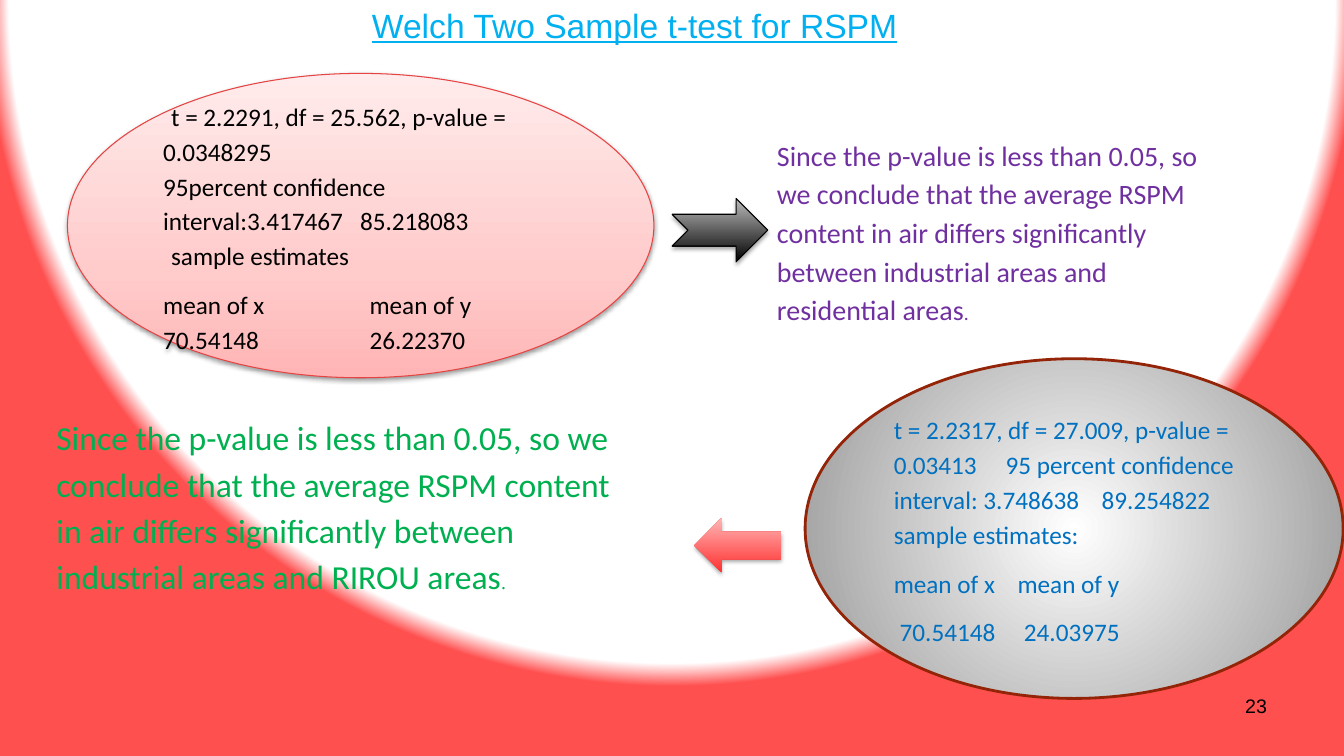
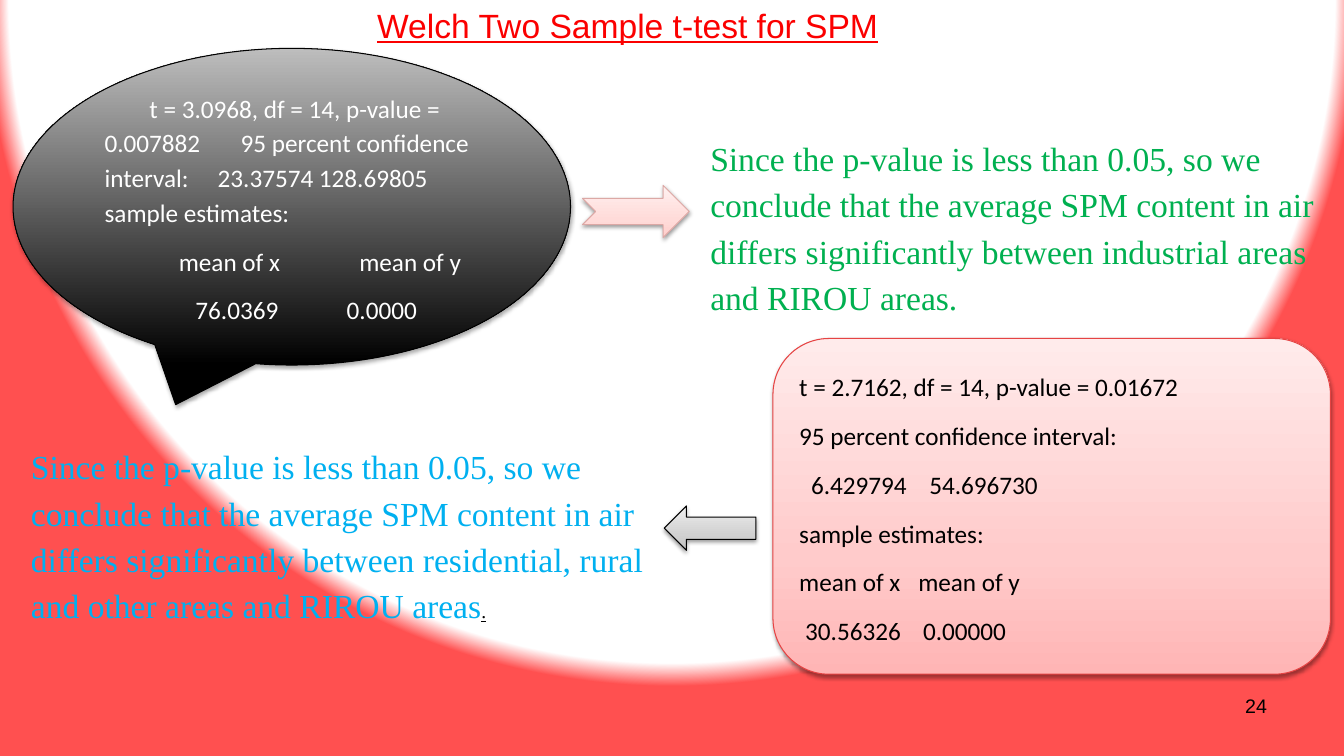
from lxml import etree
from pptx import Presentation
from pptx import util as u
from pptx.dml.color import RGBColor
from pptx.enum import shapes, text
from pptx.oxml import ns

KIND = shapes.MSO_SHAPE
ROSE = [(0, "FFB5B5"), (35, "FFCBCB"), (100, "FFEBEB")]
BLUSH = [(0, "FFCECB"), (35, "FFDBD9"), (100, "FFF1F0")]
COAL = [(0, "000000"), (100, "BDBDBD")]
SILVER = [(0, "BDBDBD"), (35, "D1D1D1"), (100, "EEEEEE")]
RED = [(0, "FF3030"), (100, "FFB5B5")]
PEARL = [(0, "FFFFFF"), (100, "979797")]
PAGE = [(35, "FFFFFF"), (86, "FFFFFF"), (89, "FF5050")]
SOFT = (38, 1.6)
DEEP = (35, 1.8)
SERIF = "Times New Roman"


def color(code):
    return RGBColor.from_string(code)


def node(parent, tag, **attrs):
    item = etree.SubElement(parent, ns.qn(tag))
    for key, value in attrs.items():
        item.set(key, str(value))
    return item


def paint(root, fill, stops, top=None):
    fill.background()
    old = next(root.iter(ns.qn("a:noFill")))
    grad = etree.Element(ns.qn("a:gradFill"), rotWithShape="1")
    steps = node(grad, "a:gsLst")
    for spot, code in stops:
        node(node(steps, "a:gs", pos=spot * 1000), "a:srgbClr", val=code)
    if top is None:
        node(grad, "a:lin", ang=270 * 60000, scaled=0)
    else:
        ring = node(grad, "a:path")
        ring.set("path", "circle")
        node(ring, "a:fillToRect", l=50000, t=top * 1000, r=50000, b=(100 - top) * 1000)
    old.getparent().replace(old, grad)


class Deck:
    font = "Calibri"

    def __init__(self):
        self.show = Presentation()
        self.show.slide_width, self.show.slide_height = u.Cm(33.87), u.Cm(19.05)
        master = self.show.slide_master
        paint(master.element, master.background.fill, PAGE, -80)

    def page(self, title, left, code, number):
        self.slide = self.show.slides.add_slide(self.show.slide_layouts[5])
        head = self.slide.shapes.title
        self.place(head, (left, 0, 16.94, 1.27))
        frame = head.text_frame
        frame.auto_size = text.MSO_AUTO_SIZE.NONE
        frame.vertical_anchor = text.MSO_ANCHOR.TOP
        line = frame.paragraphs[0]
        line.alignment = text.PP_ALIGN.LEFT
        self.run(line, title, 24, code, "Arial", True)
        line = self.box((24.28, 17.35, 7.9, 1.32)).paragraphs[0]
        line.alignment = text.PP_ALIGN.RIGHT
        self.run(line, number, 14, "000000", "Arial")

    def place(self, item, at):
        item.left, item.top, item.width, item.height = map(u.Cm, at)

    def box(self, at):
        frame = self.slide.shapes.add_textbox(*map(u.Cm, at)).text_frame
        frame.word_wrap = True
        return frame

    def run(self, line, words, size, code, font=None, under=None):
        for index, part in enumerate(words.split("\n")):
            if index:
                line.add_line_break()
            run = line.add_run()
            run.text = part
            run.font.size = u.Pt(size)
            run.font.name = font or self.font
            run.font.color.rgb = color(code)
            run.font.underline = under

    def space(self, line, tabs=()):
        line.alignment = text.PP_ALIGN.LEFT
        line.line_spacing = 1.15
        line.space_after = u.Pt(10)
        if tabs:
            stops = node(line._p.get_or_add_pPr(), "a:tabLst")
            for tab in tabs:
                node(stops, "a:tab", pos=int(u.Cm(tab)), algn="l")

    def note(self, at, *runs):
        line = self.box(at).paragraphs[0]
        self.space(line)
        for run in runs:
            self.run(line, *run)

    def shape(self, kind, at, stops, edge=None, width=0.75, shade=None, top=None):
        item = self.slide.shapes.add_shape(kind, *map(u.Cm, at))
        paint(item._element.spPr, item.fill, stops, top)
        if edge:
            item.line.color.rgb = color(edge)
            item.line.width = u.Pt(width)
        else:
            item.line.fill.background()
        item.shadow.inherit = False
        if shade:
            alpha, gap = shade
            glow = node(item._element.spPr.find(ns.qn("a:effectLst")), "a:outerShdw",
                        blurRad=int(u.Pt(3.1)), dist=int(u.Pt(gap)),
                        dir=90 * 60000, rotWithShape=0)
            node(node(glow, "a:srgbClr", val="000000"), "a:alpha", val=alpha * 1000)
        return item

    def stats(self, item, code, *rows):
        frame = item.text_frame
        frame.word_wrap = True
        frame.vertical_anchor = text.MSO_ANCHOR.MIDDLE
        for index, (words, *tabs) in enumerate(rows):
            line = frame.add_paragraph() if index else frame.paragraphs[0]
            self.space(line, tabs)
            self.run(line, words, 18, code)


def rspm(deck):
    deck.page("Welch Two Sample t-test for RSPM", 9.12, "00B0F0", "23")
    oval = deck.shape(KIND.OVAL, (1.7, 1.85, 14.78, 7.67), ROSE, "E64343", shade=SOFT)
    deck.stats(
        oval, "000000",
        ("\tt = 2.2291, df = 25.562, p-value =\n0.0348295\n95percent confidence\n"
         "interval:3.417467\t85.218083\n\tsample estimates", 0.2, 4.96),
        ("mean of x\tmean of y\n70.54148\t26.22370", 5.2))
    deck.shape(KIND.NOTCHED_RIGHT_ARROW, (16.94, 5, 2.41, 1.6), COAL, "000000", shade=DEEP)
    deck.note(
        (19.33, 3.23, 11.91, 5.11),
        ("Since the p-value is less than 0.05, so we conclude that the average RSPM "
         "content in air differs significantly between industrial areas and "
         "residential areas", 20, "7030A0"),
        (".", 14, "7030A0"))
    oval = deck.shape(KIND.OVAL, (20.29, 9.04, 13.56, 8.56), PEARL, "932407", 2, top=50)
    deck.stats(
        oval, "0070C0",
        ("t = 2.2317, df = 27.009, p-value =\n0.03413\t95 percent confidence\n"
         "interval: 3.748638\t89.254822\nsample estimates:", 2.82, 5.24),
        ("mean of x\tmean of y", 3.12),
        ("\t70.54148\t24.03975", 0.15, 3.28))
    deck.shape(KIND.LEFT_ARROW, (17.5, 13.06, 2.18, 1.37), RED, shade=DEEP)
    deck.note(
        (1.17, 10.24, 14.48, 6.1),
        ("Since the p-value is less than 0.05, so we conclude that the average RSPM "
         "content in air differs significantly between industrial areas and "
         "RIROU areas", 24, "00B050"),
        (".", 14, "00B050", SERIF))


def spm(deck):
    deck.page("Welch Two Sample t-test for SPM", 9.25, "FB0000", "24")
    bubble = deck.shape(KIND.OVAL_CALLOUT, (0.33, 1.22, 14.05, 7.98), COAL, "000000",
                        shade=DEEP)
    deck.stats(
        bubble, "FFFFFF",
        ("\tt = 3.0968, df = 14, p-value =\n0.007882\t\t95 percent confidence\n"
         "interval:\t23.37574 128.69805\nsample estimates:", 1.13, 2.85, 3.43),
        ("\tmean of x\tmean of y", 1.87, 6.42),
        ("\t76.0369\t0.0000", 2.29, 6.1))
    deck.shape(KIND.NOTCHED_RIGHT_ARROW, (14.68, 4.67, 2.69, 1.32), BLUSH, "DCA8A5",
               shade=SOFT)
    deck.note(
        (17.65, 3.2, 16.2, 4.9),
        ("Since the p-value is less than 0.05, so we conclude that the average SPM "
         "content in air differs significantly between industrial areas and "
         "RIROU areas.", 24, "00B050", SERIF))
    panel = deck.shape(KIND.ROUNDED_RECTANGLE, (19.48, 8.53, 14.05, 8.46), ROSE, "E64343",
                       shade=SOFT)
    deck.stats(
        panel, "000000",
        ("t = 2.7162, df = 14, p-value = 0.01672",),
        ("95 percent confidence interval:",),
        ("\t6.429794\t54.696730", 0.3, 3.28),
        ("sample estimates:",),
        ("mean of x\tmean of y", 3),
        ("\t30.56326\t0.00000", 0.15, 3.12))
    deck.note(
        (0.53, 10.97, 17.3, 4.88),
        ("Since the p-value is less than 0.05, so we conclude that the average SPM "
         "content in air differs significantly between residential, rural and other "
         "areas and RIROU areas", 24, "00B0F0", SERIF),
        (".", 14, "000000", SERIF, True))
    deck.shape(KIND.LEFT_ARROW, (16.74, 12.75, 2.31, 1.12), SILVER, "000000", shade=SOFT)


def main():
    deck = Deck()
    rspm(deck)
    spm(deck)
    deck.show.save("out.pptx")


if __name__ == "__main__":
    main()
